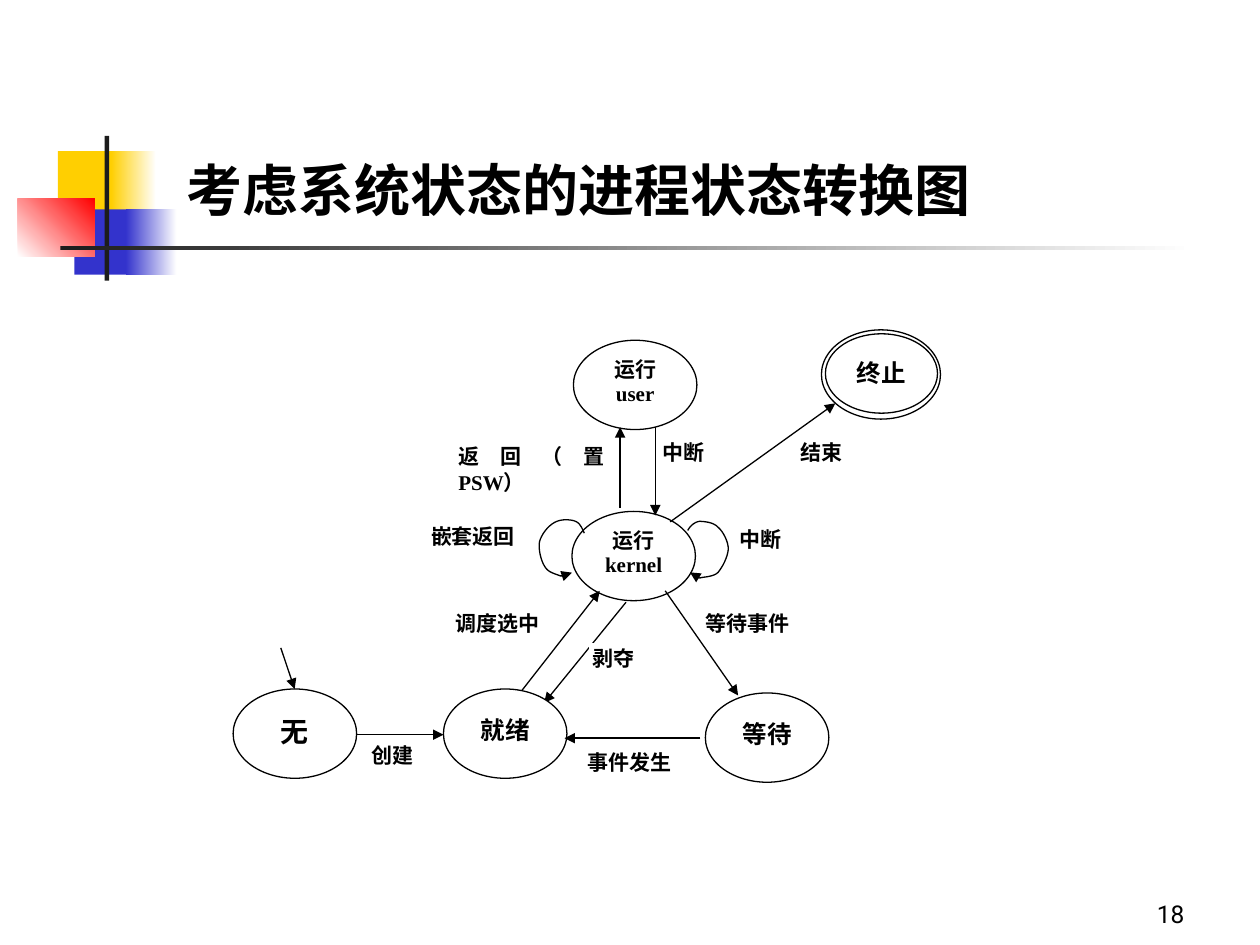
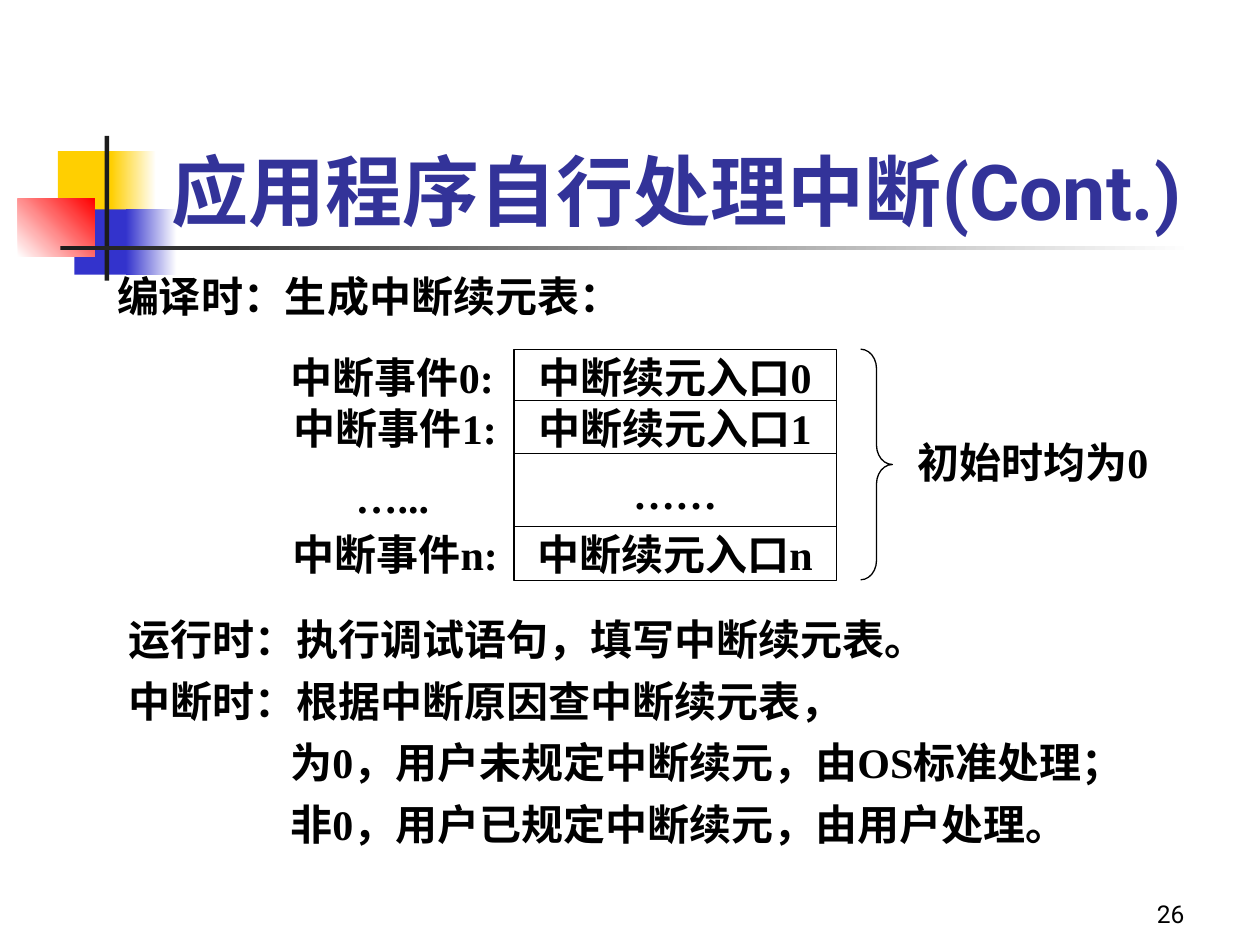
"""Build two operating-system slides: process states and interrupt handling."""
from lxml.etree import SubElement
from pptx import Presentation
from pptx.dml.color import RGBColor
from pptx.enum.lang import MSO_LANGUAGE_ID as Language
from pptx.enum.shapes import MSO_CONNECTOR as Connector, MSO_SHAPE as Preset
from pptx.enum.text import MSO_ANCHOR as Anchor, MSO_AUTO_SIZE as AutoSize, PP_ALIGN as Align
from pptx.oxml.ns import qn
from pptx.util import Cm, Pt

COLORS = {
    "black": "000000", "white": "FFFFFF", "title": "333399", "yellow": "FFCF01",
    "blue": "3333CC", "red": "FF0000", "charcoal": "1C1C1C",
}
RGB = {name: RGBColor.from_string(value) for name, value in COLORS.items()}
SERIF, SANS = "Times New Roman", "Roboto"
LABEL_FRAME = {"word_wrap": True, "vertical_anchor": Anchor.TOP,
               "margin_left": Cm(0.05), "margin_right": Cm(0.05),
               "margin_top": Cm(0.03), "margin_bottom": Cm(0.03)}
STATE_FRAME = {"word_wrap": True, "vertical_anchor": Anchor.TOP,
               "margin_left": Cm(0.1), "margin_right": Cm(0.1)}
CELL_FRAME = {"word_wrap": False, "vertical_anchor": Anchor.MIDDLE}


def write_text(shape, lines, size, frame, layout, name=SERIF, bold=True, color="black"):
    text_frame = shape.text_frame
    for attribute, value in frame.items():
        setattr(text_frame, attribute, value)
    font_format = {"name": name, "size": Pt(size), "bold": bold,
                   "language_id": Language.SIMPLIFIED_CHINESE}
    for index, line in enumerate(lines):
        paragraph = text_frame.add_paragraph() if index else text_frame.paragraphs[0]
        for attribute, value in layout.items():
            setattr(paragraph, attribute, value)
        run = paragraph.add_run()
        run.text = line
        for attribute, value in font_format.items():
            setattr(run.font, attribute, value)
        run.font.color.rgb = RGB[color]


def add_box(slide, preset, box, fill="white", line=None):
    shape = slide.shapes.add_shape(preset, *map(Cm, box))
    shape.shadow.inherit = False
    if fill:
        shape.fill.solid()
        shape.fill.fore_color.rgb = RGB[fill]
    else:
        shape.fill.background()
    if line:
        shape.line.color.rgb = RGB[line]
        shape.line.width = Pt(0.75)
    else:
        shape.line.fill.background()
    return shape


presentation = Presentation()
presentation.slide_width, presentation.slide_height = Cm(25.4), Cm(19.05)
state_slide = presentation.slides.add_slide(presentation.slide_layouts[5])
interrupt_slide = presentation.slides.add_slide(presentation.slide_layouts[1])

decorations = [
    ((1.17, 3.05, 1.22, 1.32), ["yellow"], 0),
    ((2.24, 3.05, 0.91, 1.32), ["yellow", "white"], 0),
    ((1.5, 4.22, 1.17, 1.32), ["blue"], 0),
    ((2.54, 4.22, 1.02, 1.32), ["blue", "white"], 0),
    ((0.36, 4.01, 1.55, 1.17), ["white", "red"], 45),
    ((2.11, 2.74, 0.09, 2.92), ["charcoal"], 0),
    ((1.22, 4.95, 22.86, 0.09), ["charcoal", "white"], 0),
]
master_tree = presentation.slide_master.shapes.element
for position, (box, colors, angle) in enumerate(decorations):
    shape = add_box(state_slide, Preset.RECTANGLE, box, colors[0])
    if len(colors) == 2:
        shape.fill.gradient()
        shape.fill.gradient_angle = angle
        for stop, color in zip(shape.fill.gradient_stops, colors):
            stop.color.rgb = RGB[color]
    master_tree.insert(2 + position, shape.element)

headers = [
    (state_slide, "考虑系统状态的进程状态转换图", (3.51, 3, 16.79, 1.63), 32, "black", Anchor.TOP, "18"),
    (interrupt_slide, "应用程序自行处理中断(Cont.)", (3.2, 1.7, 21.64, 3.18), 44, "title", Anchor.BOTTOM, "26"),
]
for slide, text, box, size, color, anchor, number in headers:
    title = slide.shapes.title
    title.left, title.top, title.width, title.height = map(Cm, box)
    write_text(title, [text], size,
               {"word_wrap": True, "vertical_anchor": anchor, "auto_size": AutoSize.NONE},
               {"alignment": Align.LEFT}, SANS, True, color)
    number_box = slide.shapes.add_textbox(Cm(18.85), Cm(17.58), Cm(5.28), Cm(1.27))
    write_text(number_box, [number], 14, {"word_wrap": True, "vertical_anchor": Anchor.BOTTOM},
               {"alignment": Align.RIGHT}, SANS, False)

labels = [
    ("等待事件", 14.17, 12.27, 2.03), ("调度选中", 9.14, 12.27, 1.98),
    ("剥夺", 11.89, 12.98, 1.27), ("中断", 13.31, 8.84, 1.17),
    ("返回（置PSW）", 9.19, 8.92, 3.05), ("事件发生", 11.79, 15.09, 2.08),
    ("中断", 14.86, 10.59, 1.27), ("嵌套返回", 8.64, 10.52, 2.03),
    ("创建", 7.44, 14.94, 1.22), ("结束", 16.08, 8.84, 1.22),
]
for text, left, top, width in labels:
    label = add_box(state_slide, Preset.RECTANGLE, (left, top, width, 0.84), line="white")
    write_text(label, [text], 12, LABEL_FRAME, {"alignment": Align.JUSTIFY})

add_box(state_slide, Preset.OVAL, (16.56, 6.65, 2.4, 1.8), None, "black")
states = [
    (["运行", "user"], (11.56, 6.86, 2.49, 1.8), 12),
    (["运行", "kernel"], (11.53, 10.31, 2.49, 1.8), 12),
    (["等待"], (14.22, 13.97, 2.49, 1.8), 14),
    (["就绪"], (8.94, 13.89, 2.49, 1.8), 14),
    (["无"], (4.7, 13.89, 2.49, 1.8), 16),
    (["终止"], (16.64, 6.73, 2.26, 1.6), 14),
]
for lines, box, size in states:
    state = add_box(state_slide, Preset.OVAL, box, line="black")
    top, bottom = (0.3, 0.2) if len(lines) == 1 else (0.1, 0.1)
    write_text(state, lines, size,
               STATE_FRAME | {"margin_top": Cm(top), "margin_bottom": Cm(bottom)},
               {"alignment": Align.CENTER, "line_spacing": 0.96})

transitions = {
    "preempt": (12.62, 12.14, 10.97, 14.17),
    "interrupt": (13.21, 8.61, 13.21, 10.39),
    "return": (12.5, 10.24, 12.5, 8.61),
    "wait": (13.41, 11.91, 14.88, 14.02),
    "dispatch": (10.52, 13.92, 12.09, 11.91),
    "event": (14.12, 14.88, 11.38, 14.88),
    "create": (7.19, 14.81, 8.94, 14.81),
    "finish": (13.51, 10.52, 16.84, 8.13),
    "start": (5.66, 13.06, 5.94, 13.89),
}
arrows = {}
for name, ends in transitions.items():
    arrows[name] = state_slide.shapes.add_connector(Connector.STRAIGHT, *map(Cm, ends))

loops = {
    "nested interrupt": [
        (13.84, 10.72), (13.89, 10.62), (13.97, 10.54), (14.07, 10.52), (14.17, 10.52),
        (14.35, 10.52), (14.45, 10.62), (14.55, 10.69), (14.68, 10.9), (14.68, 11.05),
        (14.68, 11.2), (14.58, 11.43), (14.5, 11.53), (14.4, 11.63), (14.22, 11.63),
        (14.15, 11.66), (14.05, 11.66), (13.99, 11.61), (13.94, 11.56)],
    "nested return": [
        (11.76, 10.72), (11.71, 10.62), (11.66, 10.52), (11.56, 10.49), (11.46, 10.46),
        (11.28, 10.46), (11.15, 10.54), (11.02, 10.62), (10.9, 10.8), (10.87, 10.95),
        (10.85, 11.07), (10.92, 11.33), (11, 11.43), (11.07, 11.56), (11.25, 11.58),
        (11.33, 11.61), (11.43, 11.61), (11.51, 11.58), (11.56, 11.53)],
}
STEPS = 8
for name, controls in loops.items():
    curve = []
    for first in range(0, len(controls) - 1, 3):
        for step in range(1, STEPS + 1):
            t = step / STEPS
            weights = ((1 - t) ** 3, 3 * t * (1 - t) ** 2, 3 * t * t * (1 - t), t ** 3)
            segment = controls[first:first + 4]
            curve.append(tuple(Cm(sum(weight * point[axis] for weight, point in zip(weights, segment)))
                               for axis in (0, 1)))
    builder = state_slide.shapes.build_freeform(*map(Cm, controls[0]))
    builder.add_line_segments(curve, close=False)
    arrows[name] = builder.convert_to_shape()
    arrows[name].fill.background()
    arrows[name].rotation = 3.6

for arrow in arrows.values():
    arrow.line.color.rgb = RGB["black"]
    arrow.line.width = Pt(0.75)
    properties = arrow.element.spPr
    SubElement(properties.find(qn("a:ln")), qn("a:tailEnd"), type="triangle")
    SubElement(properties, qn("a:effectLst"))
state_slide.shapes.element.insert(2, arrows["preempt"].element)

heading = interrupt_slide.shapes.add_textbox(Cm(2.11), Cm(5.33), Cm(21.39), Cm(1.27))
write_text(heading, ["编译时：生成中断续元表："], 24, {"word_wrap": True}, {"alignment": Align.LEFT})

cells = [
    ("中断续元入口0", (10.36, 7.04, 6.5, 1.09), "black"),
    ("中断续元入口1", (10.36, 8.08, 6.5, 1.09), "black"),
    ("……", (10.36, 9.14, 6.5, 1.6), "black"),
    ("中断续元入口n", (10.36, 10.62, 6.5, 1.09), "black"),
    ("中断事件0:", (5.66, 7.04, 4.5, 1.09), None),
    ("中断事件1:", (5.72, 8.08, 4.5, 1.09), None),
    ("中断事件n:", (5.72, 10.62, 4.5, 1.09), None),
    ("…...", (5.66, 9.42, 4.5, 1.19), None),
    ("初始时均为0", (18.42, 8.31, 4.8, 2.01), None),
]
for text, box, line in cells:
    cell = add_box(interrupt_slide, Preset.RECTANGLE, box, line=line)
    write_text(cell, [text], 24, CELL_FRAME, {"alignment": Align.CENTER})

brace = add_box(interrupt_slide, Preset.RIGHT_BRACE, (17.35, 7.04, 0.64, 4.65), line="black")
brace.adjustments[0] = 0.61

phases = interrupt_slide.placeholders[1]
phases.left, phases.top, phases.width, phases.height = map(Cm, (2.34, 12.52, 21.36, 4.7))
phase_lines = [
    ("运行时：执行调试语句，填写中断续元表。", 0),
    ("中断时：根据中断原因查中断续元表，", 0),
    ("为0，用户未规定中断续元，由OS标准处理；", 3.26),
    ("非0，用户已规定中断续元，由用户处理。", 3.26),
]
write_text(phases, [line for line, indent in phase_lines], 24,
           {"word_wrap": True, "vertical_anchor": Anchor.TOP, "auto_size": AutoSize.NONE},
           {"alignment": Align.LEFT, "line_spacing": 0.7, "space_before": Pt(15)})
phases.text_frame.paragraphs[0].space_before = Pt(0)
for paragraph, (line, indent) in zip(phases.text_frame.paragraphs, phase_lines):
    properties = paragraph._p.get_or_add_pPr()
    properties.set("marL", str(Cm(indent)))
    properties.set("indent", "0")
    SubElement(properties, qn("a:buNone"))

presentation.save("out.pptx")
